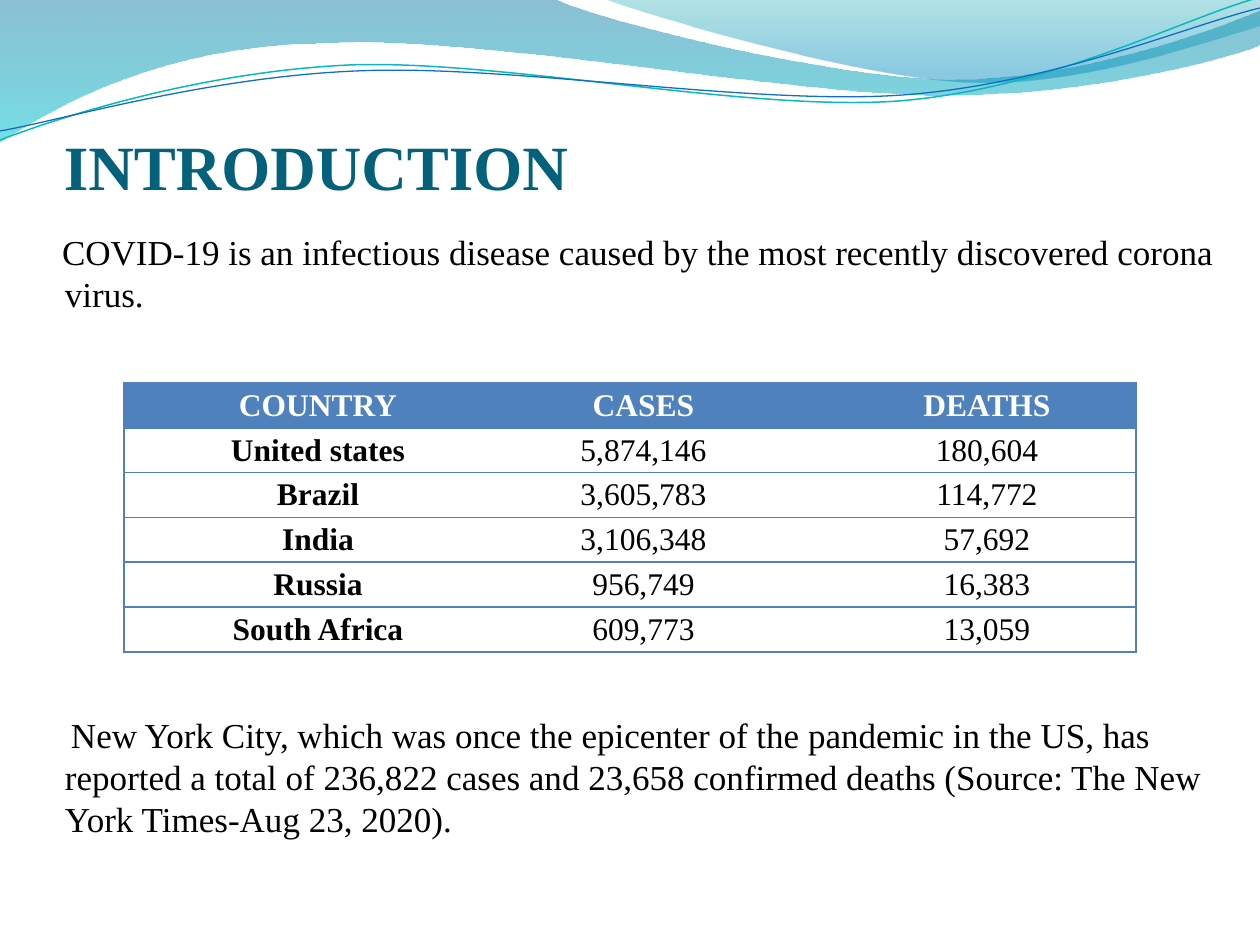
from lxml import etree
from pptx import Presentation
from pptx.dml.color import RGBColor
from pptx.enum.text import MSO_ANCHOR, MSO_AUTO_SIZE, PP_ALIGN
from pptx.oxml.ns import qn
from pptx.util import Inches, Pt

LEFT, CENTER = PP_ALIGN.LEFT, PP_ALIGN.CENTER
TOP, BOTTOM = MSO_ANCHOR.TOP, MSO_ANCHOR.BOTTOM
NO_FIT = MSO_AUTO_SIZE.NONE
WIDE, HIGH = 1260, 945
SCALE = Inches(10) / WIDE

THEME = {
    "font": "Times New Roman",
    "title": {"size": 36, "color": "04617B", "bold": True},
    "body": {"size": 20, "color": "000000", "bold": False},
    "head": {"size": 18, "color": "FFFFFF", "bold": True},
    "name": {"size": 18, "color": "000000", "bold": True},
    "count": {"size": 18, "color": "000000", "bold": False},
    "grid": "4F81BD",
    "band": [(0, "0074A1", 45), (1, "00C6CF", 55)],
    "fan": [(0, "00A1A9", 30), (0.8, "008BBF", 45)],
    "waves": [("0AB8BF", 0.85), ("0F6FC6", 0.75)],
}

BAND = [(0, 0), (554, -1), (600, 21, 837, 79, 955, 79),
        (1075, 79, 1207, 33, 1260, 11), (1261, 45),
        (1239, 55, 1096, 96, 940, 95), (784, 95, 481, 35, 324, 43),
        (163, 45, 58, 105, -1, 142)]
FAN = [(604, -1), (641, 14, 859, 78, 969, 82),
       (1079, 87, 1211, 40, 1260, 26), (1260, 0)]
WAVES = [
    [(0, 140), (60, 117, 199, 72, 349, 65),
     (498, 59, 747, 112, 898, 101), (1050, 89, 1182, 19, 1257, -2)],
    [(0, 131), (59, 121, 207, 77, 357, 71),
     (508, 64, 752, 106, 903, 95), (1053, 84, 1186, 26, 1260, 8)],
]

INTRO = ("COVID-19 is an infectious disease caused by the most recently "
         "discovered corona virus.")
CITY = ("New York City, which was once the epicenter of the pandemic in the "
        "US, has reported a total of 236,822 cases and 23,658 confirmed deaths "
        "(Source: The New York Times-Aug 23, 2020).")
COLS = [325, 326, 361]
ROWS = [
    ("COUNTRY", "CASES", "DEATHS"),
    ("United states", "5,874,146", "180,604"),
    ("Brazil", "3,605,783", "114,772"),
    ("India", "3,106,348", "57,692"),
    ("Russia", "956,749", "16,383"),
    ("South Africa", "609,773", "13,059"),
]


def px(num):
    return round(num * SCALE)


def apply(item, **values):
    for key, value in values.items():
        setattr(item, key, value)


def write(para, text, style, margin=0, indent=0, **form):
    para.text = text
    apply(para, **form)
    props = para._p.get_or_add_pPr()
    props.set("marL", str(px(margin)))
    props.set("indent", str(px(indent)))
    look = THEME[style]
    font = para.runs[0].font
    apply(font, name=THEME["font"], size=Pt(look["size"]), bold=look["bold"])
    font.color.rgb = RGBColor.from_string(look["color"])


def bend(shape, parts):
    lines = iter(list(shape._element.iter(qn("a:lnTo"))))
    for part in parts[1:]:
        line = next(lines)
        if len(part) == 6:
            line.tag = qn("a:cubicBezTo")
            for extra in (next(lines), next(lines)):
                line.append(extra[0])
                extra.getparent().remove(extra)


def outline(slide, parts, close):
    spots = [(px(x), px(y)) for part in parts
             for x, y in zip(part[::2], part[1::2])]
    pen = slide.shapes.build_freeform(*spots[0])
    pen.add_line_segments(spots[1:], close=close)
    shape = pen.convert_to_shape()
    shape.shadow.inherit = False
    bend(shape, parts)
    return shape


def add_blend(slide, parts, stops):
    shape = outline(slide, parts, True)
    shape.line.fill.background()
    shape.fill.gradient()
    shape.fill.gradient_angle = 270
    for stop, (place, color, alpha) in zip(shape.fill.gradient_stops, stops):
        stop.position = place
        stop.color.rgb = RGBColor.from_string(color)
    tints = shape._element.spPr.iter(qn("a:srgbClr"))
    for tint, (place, color, alpha) in zip(tints, stops):
        etree.SubElement(tint, qn("a:alpha"), val=str(alpha * 1000))


def add_wave(slide, parts, color, width):
    shape = outline(slide, parts, False)
    shape.fill.background()
    shape.line.color.rgb = RGBColor.from_string(color)
    shape.line.width = Pt(width)


def add_title(slide, text):
    title = slide.shapes.title
    apply(title, left=px(64), top=px(45), width=px(1134), height=px(158))
    frame = title.text_frame
    apply(frame, margin_left=0, margin_right=0, margin_top=px(6),
          margin_bottom=0, vertical_anchor=BOTTOM, auto_size=NO_FIT,
          word_wrap=True)
    write(frame.paragraphs[0], text, "title", alignment=LEFT)


def add_body(slide):
    box = slide.shapes.add_textbox(px(15), px(224), px(1230), px(721))
    frame = box.text_frame
    apply(frame, margin_left=px(13), margin_right=px(13), margin_top=px(7),
          margin_bottom=px(6), vertical_anchor=TOP, word_wrap=True)
    form = {"alignment": LEFT, "line_spacing": Pt(23.8), "margin": 37}
    write(frame.paragraphs[0], INTRO, "body", indent=-3, **form)
    write(frame.add_paragraph(), CITY, "body", indent=6,
          space_before=Pt(228.5), **form)


def add_edges(cell, shown):
    props = cell._tc.get_or_add_tcPr()
    for side in "LRTB":
        edge = etree.SubElement(props, qn("a:ln" + side), w=str(Pt(1)))
        if side in shown:
            fill = etree.SubElement(edge, qn("a:solidFill"))
            etree.SubElement(fill, qn("a:srgbClr"), val=THEME["grid"])
        else:
            etree.SubElement(edge, qn("a:noFill"))


def add_grid(slide, left, top, height):
    frame = slide.shapes.add_table(len(ROWS), len(COLS), px(left), px(top),
                                   px(sum(COLS)), px(height))
    table = frame.table
    apply(table, first_row=True, horz_banding=False)
    for col, width in zip(table.columns, COLS):
        col.width = px(width)
    for r, row in enumerate(ROWS):
        for c, text in enumerate(row):
            cell = table.cell(r, c)
            apply(cell, margin_left=px(9), margin_right=px(9), margin_top=0,
                  margin_bottom=0, vertical_anchor=TOP)
            add_edges(cell, "TB" + ("L", "", "R")[c])
            if r == 0:
                cell.fill.solid()
                cell.fill.fore_color.rgb = RGBColor.from_string(THEME["grid"])
            else:
                cell.fill.background()
            style = "head" if r == 0 else "name" if c == 0 else "count"
            write(cell.text_frame.paragraphs[0], text, style, margin=63,
                  alignment=CENTER, line_spacing=1.15)


def main():
    deck = Presentation()
    apply(deck, slide_width=px(WIDE), slide_height=px(HIGH))
    slide = deck.slides.add_slide(deck.slide_layouts[5])
    add_blend(slide, BAND, THEME["band"])
    add_blend(slide, FAN, THEME["fan"])
    for parts, look in zip(WAVES, THEME["waves"]):
        add_wave(slide, parts, *look)
    add_title(slide, "INTRODUCTION")
    add_body(slide)
    add_grid(slide, 124, 383, 269)
    deck.save("out.pptx")


if __name__ == "__main__":
    main()
